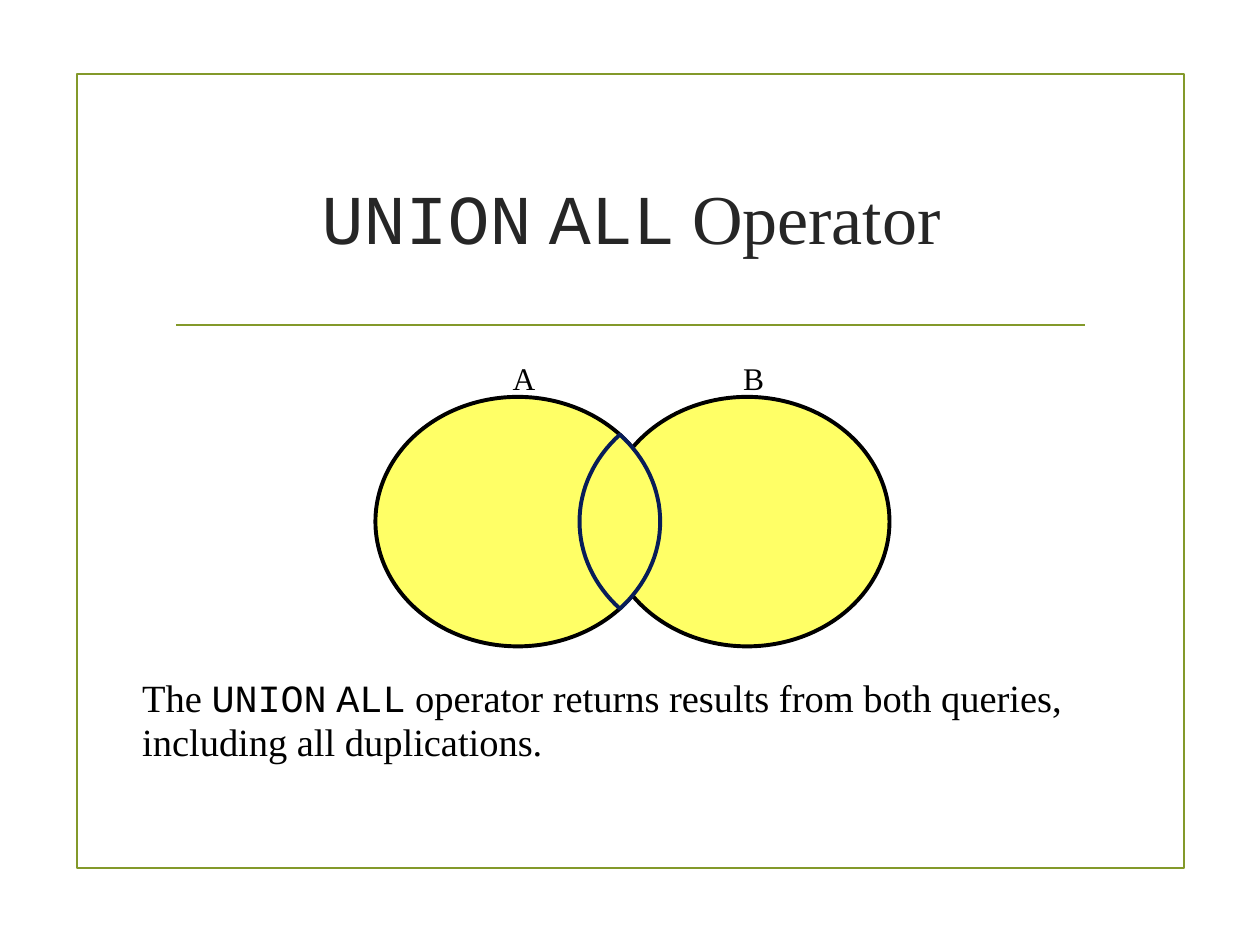
import math
from typing import NamedTuple

import pptx
import pptx.util
from pptx.dml.color import RGBColor
from pptx.enum.shapes import MSO_CONNECTOR, MSO_SHAPE
from pptx.enum.text import MSO_ANCHOR, MSO_AUTO_SIZE, PP_ALIGN
from pptx.oxml import parse_xml
from pptx.oxml.ns import nsdecls
from pptx.util import Inches

OLIVE = RGBColor(0x83, 0x99, 0x2A)
CHARCOAL = RGBColor(0x26, 0x26, 0x26)
BLACK = RGBColor(0, 0, 0)
YELLOW = RGBColor(0xFF, 0xFF, 0x66)
NAVY = RGBColor(0x08, 0x1D, 0x58)
SERIF, MONO = "Times New Roman", "Courier New"

# Venn diagram measures, in inches
OVAL_TOP, OVAL_W, OVAL_H = 3.15, 2.26, 1.98
LENS_X, LENS_OFFSET = 4.92, 0.81
ARC_STEPS = 32


class Box(NamedTuple):
    x: float
    y: float
    w: float
    h: float


class Part(NamedTuple):
    text: str
    font: str = SERIF


class VennSet(NamedTuple):
    name: str
    left: float
    label_left: float


OPERATOR = [Part("UNION", MONO), Part(" "), Part("ALL", MONO)]
SETS = [VennSet("A", 2.98, 3.97), VennSet("B", 4.8, 5.8)]


def style(sp, fill: RGBColor | None, line: RGBColor, width: float) -> None:
    sp.shadow.inherit = False
    if fill is None:
        sp.fill.background()
    else:
        sp.fill.solid()
        sp.fill.fore_color.rgb = fill
    sp.line.color.rgb = line
    sp.line.width = pptx.util.Pt(width)


def add_shape(s, kind: MSO_SHAPE, box: Box, fill: RGBColor | None,
              line: RGBColor, width: float) -> None:
    sp = s.shapes.add_shape(kind, *map(Inches, box))
    style(sp, fill, line, width)


def add_text(s, box: Box, parts: list[Part], size: float, color: RGBColor,
             frame: dict, paragraph: dict | None = None) -> None:
    tf = s.shapes.add_textbox(*map(Inches, box)).text_frame
    for name, value in frame.items():
        setattr(tf, name, value)
    p = tf.paragraphs[0]
    for name, value in (paragraph or {}).items():
        setattr(p, name, value)
    for part in parts:
        r = p.add_run()
        r.text = part.text
        for name, value in {"name": part.font, "size": pptx.util.Pt(size)}.items():
            setattr(r.font, name, value)
        r.font.color.rgb = color


def add_lens(s) -> None:
    """Outline the overlap with two mirrored elliptical arcs."""
    rx, ry = OVAL_W / 2, OVAL_H / 2
    half = math.acos(LENS_OFFSET / rx)
    angles = [half * (2 * i / ARC_STEPS - 1) for i in range(ARC_STEPS + 1)]
    points = [(LENS_X + side * (rx * math.cos(a) - LENS_OFFSET),
               OVAL_TOP + ry + side * ry * math.sin(a))
              for side in (1, -1) for a in angles]
    corners = [(Inches(x), Inches(y)) for x, y in points]
    builder = s.shapes.build_freeform(*corners[0])
    builder.add_line_segments(corners[1:], close=True)
    style(builder.convert_to_shape(), YELLOW, NAVY, 2.25)


def main() -> None:
    prs = pptx.Presentation()
    prs.slide_width, prs.slide_height = Inches(10), Inches(7.5)
    s = prs.slides.add_slide(prs.slide_layouts[6])

    # Frame and rule under the title
    add_shape(s, MSO_SHAPE.RECTANGLE, Box(0.61, 0.59, 8.79, 6.3), None, OLIVE, 1.25)
    rule = s.shapes.add_connector(MSO_CONNECTOR.STRAIGHT, Inches(1.4), Inches(2.58),
                                  Inches(8.61), Inches(2.58))
    rule.line.color.rgb = OLIVE
    rule.line.width = pptx.util.Pt(1.25)
    rule._element.spPr.append(parse_xml(f"<a:effectLst {nsdecls('a')}/>"))

    # Title
    add_text(s, Box(1.29, 1, 7.44, 1.43), OPERATOR + [Part(" Operator")], 40, CHARCOAL,
             {"word_wrap": True, "vertical_anchor": MSO_ANCHOR.MIDDLE},
             {"alignment": PP_ALIGN.CENTER})

    # Venn diagram
    for venn in SETS:
        add_shape(s, MSO_SHAPE.OVAL, Box(venn.left, OVAL_TOP, OVAL_W, OVAL_H),
                  YELLOW, BLACK, 2.25)
        add_text(s, Box(venn.label_left, 2.8, 0.28, 0.24), [Part(venn.name)], 18, BLACK,
                 {"word_wrap": False, "auto_size": MSO_AUTO_SIZE.SHAPE_TO_FIT_TEXT})
    add_lens(s)

    # Explanation
    add_text(s, Box(1.03, 5.33, 7.95, 0.8),
             [Part("The "), *OPERATOR,
              Part(" operator returns results from both queries, "
                   "including all duplications.")],
             22, BLACK,
             {"word_wrap": True, "auto_size": MSO_AUTO_SIZE.SHAPE_TO_FIT_TEXT},
             {"line_spacing": 0.95})

    prs.save("out.pptx")


if __name__ == "__main__":
    main()
